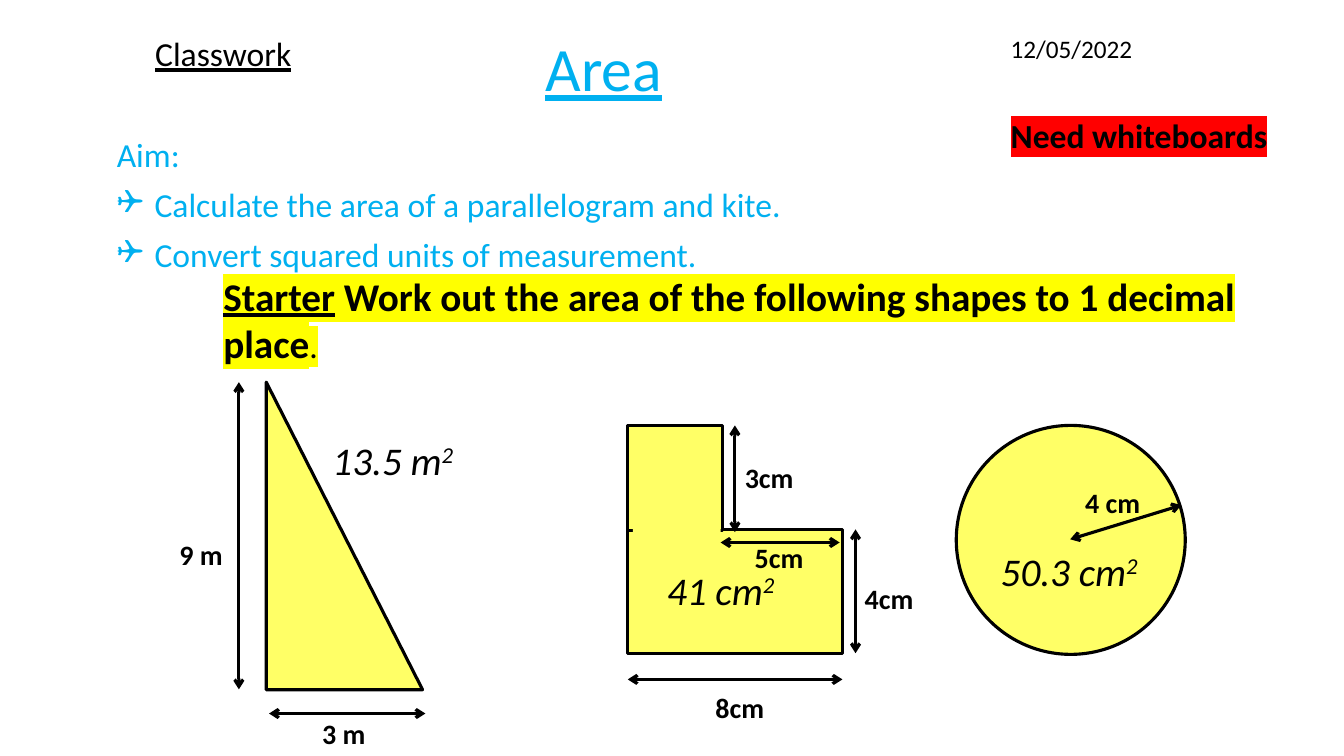
from lxml.etree import SubElement as Sub
from pptx import Presentation
from pptx.dml.color import RGBColor
from pptx.enum.shapes import MSO_CONNECTOR as Link, MSO_SHAPE as Form
from pptx.enum.text import MSO_ANCHOR as Anchor, MSO_AUTO_SIZE as Fit, PP_ALIGN as Align
from pptx.oxml.ns import qn
from pptx.util import Cm, Pt

BLACK = RGBColor(0x00, 0x00, 0x00)
BLUE = RGBColor(0x00, 0xB0, 0xF0)
PALE = RGBColor(0xFF, 0xFF, 0x66)
RED = RGBColor(0xFF, 0x00, 0x00)
YELLOW = RGBColor(0xFF, 0xFF, 0x00)

BASE = dict(name="Calibri", color=BLACK)
HEAD = dict(size=44, underline=True, color=BLUE)
GOAL = dict(size=24, color=BLUE)
SIDE = dict(size=20, bold=True)
SUM = dict(size=28, italic=True)
TASK = dict(size=28, bold=True, mark=YELLOW)

TITLE = "Area"
AIMS = [
    ("Aim:", False),
    ("Calculate the area of a parallelogram and kite.", True),
    ("Convert squared units of measurement.", True),
]
NOTES = [
    ((3.66, 0.71, 4.29, 1.27), False, [("Classwork", dict(size=24, underline=True))]),
    ((25.22, 0.71, 4.98, 1.02), True, [("12/05/2022", dict(size=18))]),
    ((25.22, 2.77, 7.39, 1.27), True,
     [("Need whiteboards", dict(size=24, bold=True, mark=RED))]),
]
STARTER = [
    ("Starter", dict(TASK, underline=True)),
    (" Work out the area of the following shapes to 1 decimal place", TASK),
    (".", dict(size=24, mark=YELLOW)),
]
SHAPES = [
    (Form.RIGHT_TRIANGLE, (6.71, 9.63, 3.94, 7.75), True),
    (Form.RECTANGLE, (15.82, 13.34, 5.41, 3.12), True),
    (Form.RECTANGLE, (15.82, 10.72, 2.39, 2.64), True),
    (Form.RECTANGLE, (15.95, 11.94, 2.21, 2.62), False),
    (Form.OVAL, (24.1, 10.72, 5.77, 5.77), True),
]
ARROWS = [
    (6.02, 17.37, 6.02, 9.63),
    (10.72, 17.98, 6.78, 17.98),
    (15.82, 17.12, 21.23, 17.12),
    (21.56, 13.34, 21.56, 16.46),
    (18.52, 10.72, 18.52, 13.41),
    (18.16, 13.67, 21.16, 13.67),
    (26.97, 13.59, 29.77, 12.73),
]
SIDES = [
    ("3 m", 7.87, 17.93, 1.75),
    ("9 m", 4.27, 13.41, 1.75),
    ("4 cm", 27.1, 12.12, 2.13),
    ("8cm", 17.78, 17.27, 1.91),
    ("4cm", 21.54, 14.53, 1.91),
    ("5cm", 18.77, 13.49, 1.91),
    ("3cm", 18.52, 11.48, 1.91),
]
SUMS = [
    ("13.5 m", 8.13, 10.87, 3.91),
    ("41 cm", 16.56, 14.15, 3.48),
    ("50.3 cm", 24.97, 13.67, 4.42),
]


def place(shape, box):
    for key, val in zip(("left", "top", "width", "height"), box):
        setattr(shape, key, Cm(val))


def write(para, text, form):
    run = para.add_run()
    run.text = text
    props = run._r.get_or_add_rPr()
    for key, val in {**BASE, **form}.items():
        if key == "color":
            run.font.color.rgb = val
        elif key == "size":
            run.font.size = Pt(val)
        elif key == "raised":
            props.set("baseline", "30000")
        elif key != "mark":
            setattr(run.font, key, val)
    if "mark" in form:
        mark = Sub(props, qn("a:highlight"))
        Sub(mark, qn("a:srgbClr"), val=str(form["mark"]))
        props.find(qn("a:latin")).addprevious(mark)


def label(slide, box, runs, wrap=False, fit=Fit.SHAPE_TO_FIT_TEXT, anchor=Anchor.TOP):
    frame = slide.shapes.add_textbox(*map(Cm, box)).text_frame
    look = dict(word_wrap=wrap, auto_size=fit, vertical_anchor=anchor)
    for key, val in look.items():
        setattr(frame, key, val)
    for text, form in runs:
        write(frame.paragraphs[0], text, form)


def bullet(para):
    props = para._p.get_or_add_pPr()
    props.set("marL", str(Cm(0.95)))
    props.set("indent", str(-Cm(0.95)))
    Sub(props, qn("a:buFont"), typeface="Wingdings")
    Sub(props, qn("a:buChar"), char="❑")


def arrow(slide, ends):
    line = slide.shapes.add_connector(Link.STRAIGHT, *map(Cm, ends))
    line.line.color.rgb = BLACK
    line.line.width = Pt(2.25)
    stroke = line.line._get_or_add_ln()
    for end in ("a:headEnd", "a:tailEnd"):
        Sub(stroke, qn(end), type="arrow")
    Sub(line._element.spPr, qn("a:effectLst"))


def figure(slide, form, box, edge):
    shape = slide.shapes.add_shape(form, *map(Cm, box))
    shape.shadow.inherit = False
    shape.fill.solid()
    shape.fill.fore_color.rgb = PALE
    if edge:
        shape.line.color.rgb = BLACK
        shape.line.width = Pt(2.25)
    else:
        shape.line.fill.background()


def main():
    deck = Presentation()
    deck.slide_width, deck.slide_height = Cm(33.87), Cm(19.05)
    slide = deck.slides.add_slide(deck.slide_layouts[0])
    title, body = slide.placeholders

    place(title, (4.93, 0.13, 20.57, 2.64))
    title.text_frame.vertical_anchor = Anchor.BOTTOM
    para = title.text_frame.paragraphs[0]
    para.alignment, para.line_spacing = Align.CENTER, 0.9
    write(para, TITLE, HEAD)

    place(body, (2.69, 3.35, 25.07, 6.99))
    frame = body.text_frame
    for row, (text, listed) in enumerate(AIMS):
        para = frame.add_paragraph() if row else frame.paragraphs[0]
        if listed:
            bullet(para)
        para.alignment, para.line_spacing = Align.LEFT, 0.9
        para.space_before = Pt(10 if row else 0)
        write(para, text, GOAL)

    for form, box, edge in SHAPES:
        figure(slide, form, box, edge)
    for ends in ARROWS:
        arrow(slide, ends)
    for box, wrap, runs in NOTES:
        label(slide, box, runs, wrap)
    label(slide, (5.38, 7.7, 27.25, 1.65), STARTER, True, Fit.NONE, Anchor.BOTTOM)
    for text, left, top, width in SIDES:
        label(slide, (left, top, width, 1.12), [(text, SIDE)])
    for text, left, top, width in SUMS:
        runs = [(text, SUM), ("2", dict(SUM, raised=True))]
        label(slide, (left, top, width, 1.45), runs)
    deck.save("out.pptx")


if __name__ == "__main__":
    main()
